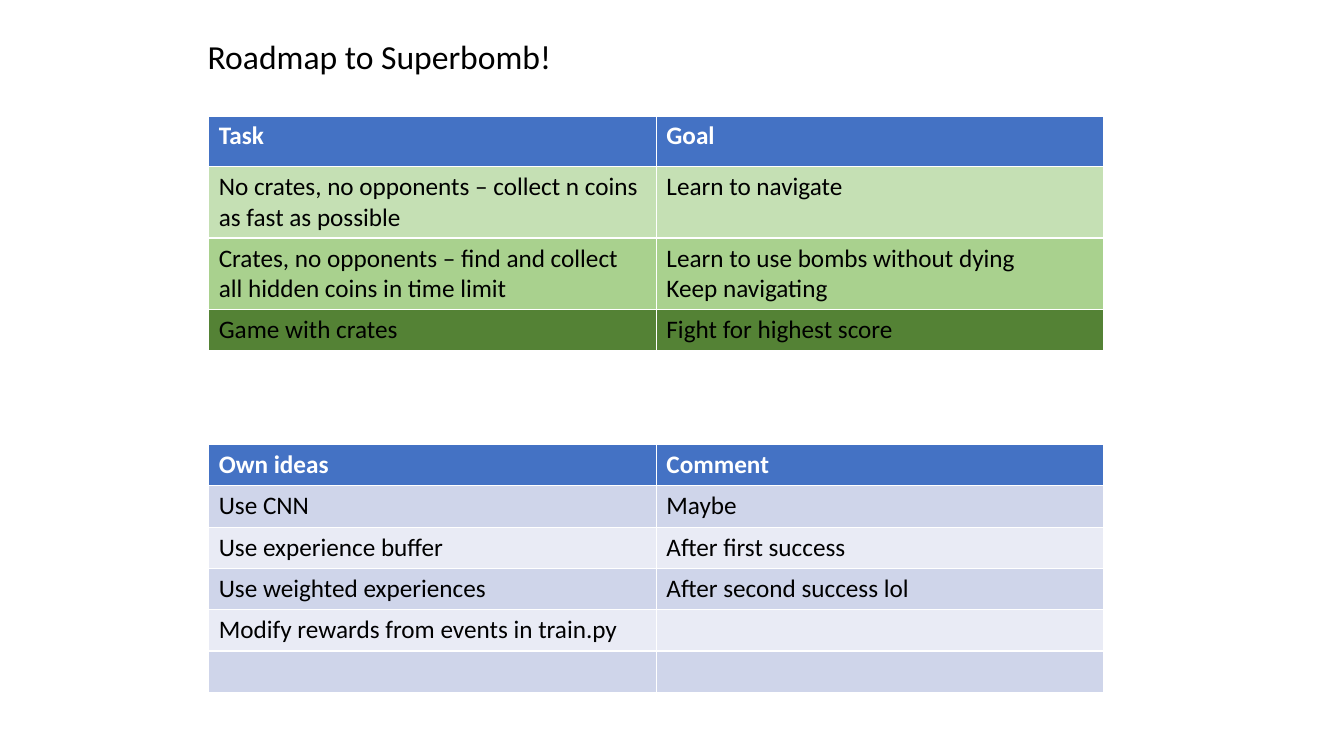
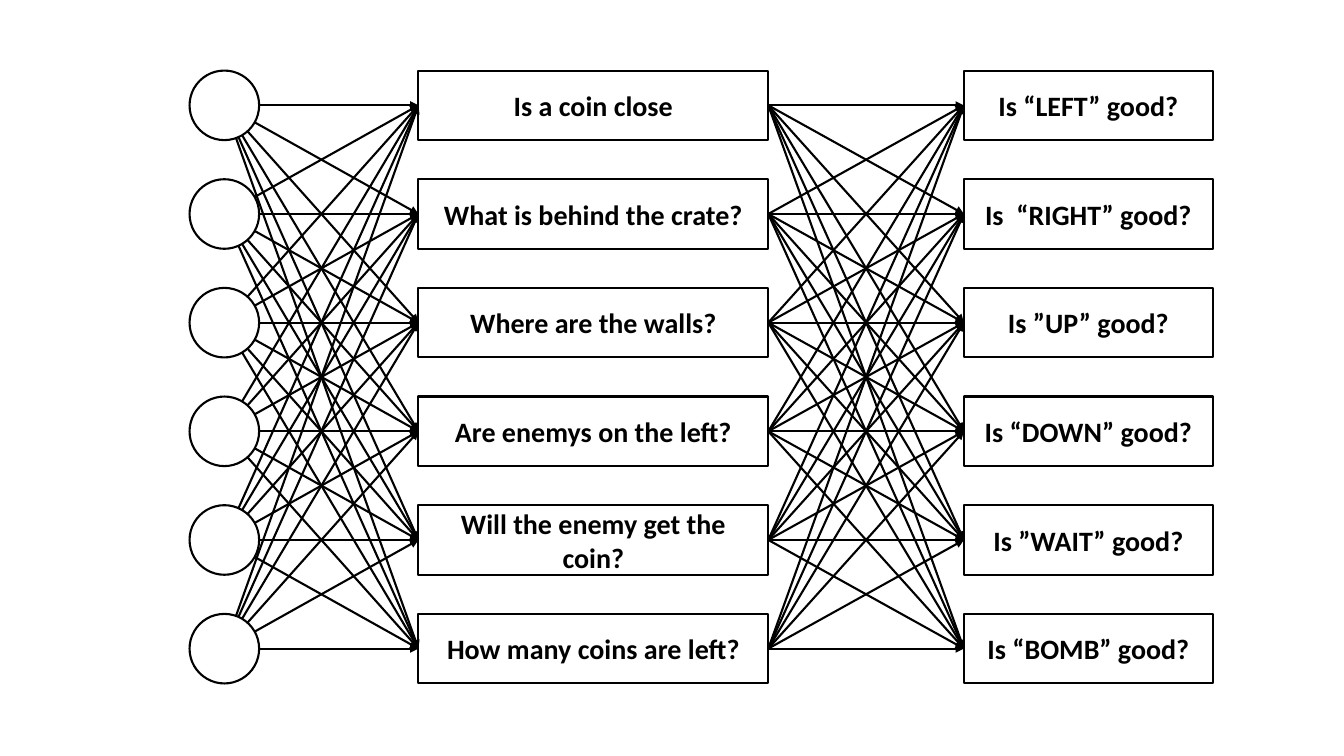
from pptx import Presentation
from pptx.dml.color import RGBColor
from pptx.enum.shapes import MSO_CONNECTOR, MSO_SHAPE
from pptx.enum.text import MSO_ANCHOR, MSO_AUTO_SIZE, PP_ALIGN
from pptx.oxml.ns import qn
from pptx.util import Inches, Pt
from lxml import etree

RECTANGLE, OVAL = MSO_SHAPE.RECTANGLE, MSO_SHAPE.OVAL
STRAIGHT = MSO_CONNECTOR.STRAIGHT
LEFT, CENTER = PP_ALIGN.LEFT, PP_ALIGN.CENTER
TOP, MIDDLE = MSO_ANCHOR.TOP, MSO_ANCHOR.MIDDLE
NO_AUTOFIT = MSO_AUTO_SIZE.NONE
LEFT_SIDE, RIGHT_SIDE = 1, 3
TITLE_ONLY_LAYOUT, BLANK_LAYOUT = 5, 6

FONT = "Calibri"
BLACK = RGBColor(0x00, 0x00, 0x00)
WHITE = RGBColor(0xFF, 0xFF, 0xFF)
HEADER_BLUE = RGBColor(0x44, 0x72, 0xC4)
BAND_DARK = RGBColor(0xCF, 0xD5, 0xEA)
BAND_LIGHT = RGBColor(0xE9, 0xEB, 0xF5)
GREEN_LIGHT = RGBColor(0xC5, 0xE0, 0xB4)
GREEN_MEDIUM = RGBColor(0xA9, 0xD1, 0x8E)
GREEN_DARK = RGBColor(0x54, 0x82, 0x35)

TITLE = "Roadmap to Superbomb!"

# Each table row: height in inches, fill, cell texts
TASK_ROWS = [
    (0.5, HEADER_BLUE, ("Task", "Goal")),
    (0.7, GREEN_LIGHT, ("No crates, no opponents – collect n coins as fast as possible",
                        "Learn to navigate")),
    (0.7, GREEN_MEDIUM, ("Crates, no opponents – find and collect all hidden coins in time limit",
                         "Learn to use bombs without dying\nKeep navigating")),
    (0.41, GREEN_DARK, ("Game with crates", "Fight for highest score")),
]
IDEA_ROWS = [
    (0.41, HEADER_BLUE, ("Own ideas", "Comment")),
    (0.41, BAND_DARK, ("Use CNN", "Maybe")),
    (0.41, BAND_LIGHT, ("Use experience buffer", "After first success")),
    (0.41, BAND_DARK, ("Use weighted experiences", "After second success lol")),
    (0.41, BAND_LIGHT, ("Modify rewards from events in train.py", "")),
    (0.41, BAND_DARK, ("", "")),
]
TABLE_LEFT, COLUMN_WIDTH = 2.07, 4.44
TASK_TOP, IDEA_TOP = 1.15, 4.41

QUESTIONS = [
    "Is a coin close",
    "What is behind the crate?",
    "Where are the walls?",
    "Are enemys on the left?",
    "Will the enemy get the coin?",
    "How many coins are left?",
]
ACTIONS = [
    "Is “LEFT” good?",
    "Is  “RIGHT” good?",
    "Is ”UP” good?",
    "Is “DOWN” good?",
    "Is ”WAIT” good?",
    "Is “BOMB” good?",
]
INPUT_LEFT = 1.88
QUESTION_LEFT, QUESTION_WIDTH = 4.15, 3.47
ACTION_LEFT, ACTION_WIDTH = 9.56, 2.47
NODE_HEIGHT = 0.69
FIRST_TOP, LAST_TOP = 0.7, 6.09
ROW_PITCH = (LAST_TOP - FIRST_TOP) / (len(QUESTIONS) - 1)
NODE_TOPS = [FIRST_TOP + row * ROW_PITCH for row in range(len(QUESTIONS))]


def write_text(frame, text, size, color=BLACK, bold=False, align=LEFT):
    """Put each line of the text into its own paragraph."""
    for index, line in enumerate(text.split("\n")):
        paragraph = frame.paragraphs[0] if index == 0 else frame.add_paragraph()
        paragraph.alignment = align
        paragraph.font.size = Pt(size)
        if not line:
            continue
        run = paragraph.add_run()
        run.text = line
        run.font.name = FONT
        run.font.size = Pt(size)
        run.font.bold = bold
        run.font.color.rgb = color


def fill_solid(target, color):
    target.fill.solid()
    target.fill.fore_color.rgb = color


def add_title(slide, text):
    title = slide.shapes.title
    title.left, title.top = Inches(1.96), Inches(0.31)
    title.width, title.height = Inches(3.87), Inches(0.59)
    fill_solid(title, WHITE)
    title.line.color.rgb = WHITE
    title.line.width = Pt(1)
    frame = title.text_frame
    frame.auto_size = NO_AUTOFIT
    frame.vertical_anchor = TOP
    write_text(frame, text, 24)


def add_two_column_table(slide, rows, top):
    height = sum(row_height for row_height, _, _ in rows)
    table = slide.shapes.add_table(
        len(rows), 2, Inches(TABLE_LEFT), Inches(top),
        Inches(2 * COLUMN_WIDTH), Inches(height)).table
    for row_index, (row_height, color, texts) in enumerate(rows):
        table.rows[row_index].height = Inches(row_height)
        is_header = row_index == 0
        for column_index, text in enumerate(texts):
            cell = table.cell(row_index, column_index)
            fill_solid(cell, color)
            write_text(cell.text_frame, text, 18,
                       WHITE if is_header else BLACK, is_header)


def add_node(slide, kind, left, top, width):
    node = slide.shapes.add_shape(
        kind, Inches(left), Inches(top), Inches(width), Inches(NODE_HEIGHT))
    node.shadow.inherit = False
    node.line.color.rgb = BLACK
    node.line.width = Pt(1.5)
    return node


def add_box_column(slide, texts, left, width):
    boxes = []
    for text, top in zip(texts, NODE_TOPS):
        box = add_node(slide, RECTANGLE, left, top, width)
        box.fill.background()
        box.text_frame.word_wrap = True
        box.text_frame.vertical_anchor = MIDDLE
        write_text(box.text_frame, text, 20, bold=True, align=CENTER)
        boxes.append(box)
    return boxes


def add_arrow_to(slide, box, start_left, start_top):
    """Draw an arrow from a point to the middle of the box's left side."""
    arrow = slide.shapes.add_connector(
        STRAIGHT, Inches(start_left), Inches(start_top),
        box.left, box.top + box.height // 2)
    arrow.end_connect(box, LEFT_SIDE)
    arrow.line.color.rgb = BLACK
    arrow.line.width = Pt(1.5)
    etree.SubElement(arrow.line._get_or_add_ln(), qn("a:tailEnd"), type="triangle")
    etree.SubElement(arrow._element.spPr, qn("a:effectLst"))
    return arrow


def build_roadmap(presentation):
    slide = presentation.slides.add_slide(presentation.slide_layouts[TITLE_ONLY_LAYOUT])
    add_two_column_table(slide, TASK_ROWS, TASK_TOP)
    add_two_column_table(slide, IDEA_ROWS, IDEA_TOP)
    add_title(slide, TITLE)


def build_network(presentation):
    slide = presentation.slides.add_slide(presentation.slide_layouts[BLANK_LAYOUT])
    actions = add_box_column(slide, ACTIONS, ACTION_LEFT, ACTION_WIDTH)
    questions = add_box_column(slide, QUESTIONS, QUESTION_LEFT, QUESTION_WIDTH)

    for question, top in zip(questions, NODE_TOPS):
        middle = top + NODE_HEIGHT / 2
        for action in actions:
            arrow = add_arrow_to(slide, action, QUESTION_LEFT + QUESTION_WIDTH, middle)
            arrow.begin_connect(question, RIGHT_SIDE)
        for target in questions:
            add_arrow_to(slide, target, INPUT_LEFT + NODE_HEIGHT / 2, middle)

    # Circles come last, so they cover the arrows that start at their centres
    for top in NODE_TOPS:
        fill_solid(add_node(slide, OVAL, INPUT_LEFT, top, NODE_HEIGHT), WHITE)


def main():
    presentation = Presentation()
    presentation.slide_width = Inches(13.33)
    presentation.slide_height = Inches(7.5)
    build_roadmap(presentation)
    build_network(presentation)
    presentation.save("out.pptx")


if __name__ == "__main__":
    main()
